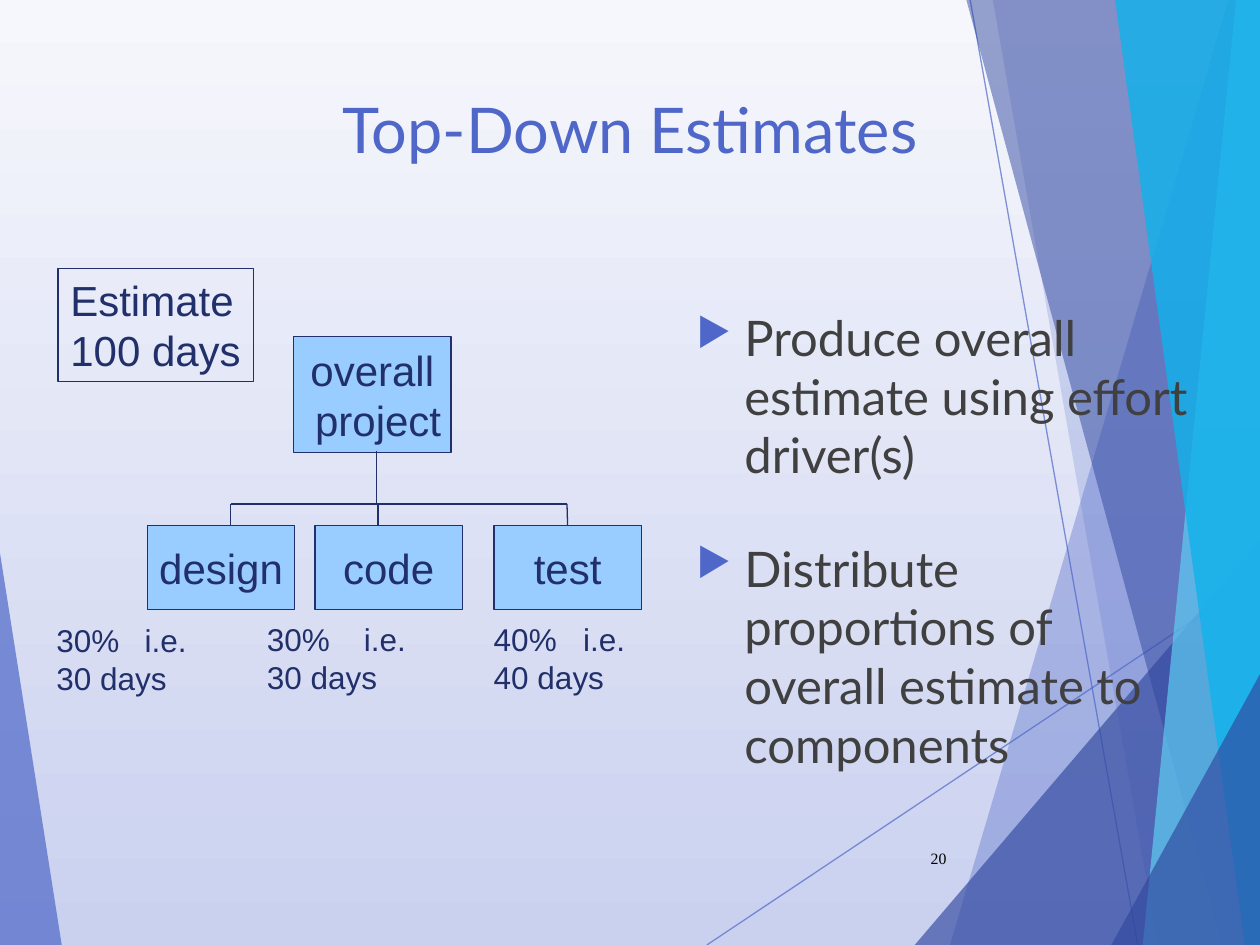
from lxml import etree
from pptx import Presentation
from pptx.dml.color import RGBColor
from pptx.enum.shapes import MSO_CONNECTOR, MSO_SHAPE
from pptx.enum.text import MSO_ANCHOR, PP_ALIGN
from pptx.oxml.ns import qn
from pptx.util import Inches, Pt

STRAIGHT = MSO_CONNECTOR.STRAIGHT
RECTANGLE = MSO_SHAPE.RECTANGLE
LEFT, CENTER, RIGHT = PP_ALIGN.LEFT, PP_ALIGN.CENTER, PP_ALIGN.RIGHT
TOP, MIDDLE = MSO_ANCHOR.TOP, MSO_ANCHOR.MIDDLE

THEME = {
    "sky_top": "F6F7FC", "sky_bottom": "CAD1EF",
    "accent": "4E67C8", "deep": "31489F", "cyan": "5ECCF3", "bright": "12B2EB",
    "body": "404040", "ink": "21306A", "node": "99CCFF", "black": "000000",
    "heading_font": "Lato", "diagram_font": "Arial", "number_font": "Times New Roman",
    "title_size": 36, "body_size": 28, "node_size": 24, "label_size": 18, "number_size": 9,
    "line_width": 0.75,
}

LEFT_FACET = ("accent", 70, [(0, 4.39), (0.49, 7.5), (0, 7.5)])
FACET_LINES = [((5.61, 7.5), (10, 4.57)), ((7.7, 0), (9.03, 7.5))]
RIGHT_FACETS = [
    ("accent", 36, [(9.75, 0), (7.54, 7.5), (10, 7.5), (10, 0)]),
    ("accent", 20, [(7.88, 0), (9.19, 7.5), (10, 7.5), (10, 0)]),
    ("deep", 66, [(7.26, 7.5), (10, 4.29), (10, 7.5)]),
    ("deep", 50, [(7.67, 0), (9.7, 7.5), (10, 7.5), (10, 0)]),
    ("cyan", 70, [(9.81, 0), (9.07, 7.5), (10, 7.5), (10, 0)]),
    ("bright", 82, [(8.85, 0), (9.88, 7.5), (10, 7.5), (10, 0)]),
    ("deep", 66, [(8.82, 7.5), (10, 5.35), (10, 7.5)]),
]

TITLE = "Top-Down Estimates"
BULLETS = ["Produce overall estimate using effort driver(s)",
           "Distribute proportions of overall estimate to components"]
PAGE_NUMBER = "20"
ESTIMATE = ["Estimate", "100 days"]
PROJECT = ["overall", " project"]
TASKS = [("design", 1.17, 1.83), ("code", 2.5, 3), ("test", 3.92, 4.5)]
LABELS = [
    (["30%\ti.e.", "30 days"], (0.35, 4.88, 2.07, 0.7), 0.7),
    (["30%\ti.e.", "30 days"], (2.02, 4.87, 1.65, 0.7), 0.77),
    (["40%\ti.e.", "40 days"], (3.82, 4.87, 1.31, 0.7), 0.71),
]
TASK_TOP, TASK_WIDTH, TASK_HEIGHT = 4.17, 1.17, 0.67
STEM_X, STEM_TOP, BUS_Y = 2.99, 3.58, 4


def color(name):
    return RGBColor.from_string(THEME[name])


def set_alpha(fill_parent, percent):
    for element in fill_parent.iter(qn("a:srgbClr")):
        etree.SubElement(element, qn("a:alpha")).set("val", str(percent * 1000))


def add_facet(page, name, alpha, points):
    builder = page.shapes.build_freeform(*map(Inches, points[0]))
    builder.add_line_segments([tuple(map(Inches, point)) for point in points[1:]])
    facet = builder.convert_to_shape()
    facet.shadow.inherit = False
    facet.line.fill.background()
    facet.fill.solid()
    facet.fill.fore_color.rgb = color(name)
    set_alpha(facet.fill._xPr, alpha)


def add_line(page, start, end, name="ink", alpha=None):
    line = page.shapes.add_connector(STRAIGHT, *map(Inches, (*start, *end)))
    line.line.color.rgb = color(name)
    line.line.width = Pt(THEME["line_width"])
    properties = line._element.spPr
    if alpha:
        set_alpha(properties, alpha)
    etree.SubElement(properties, qn("a:effectLst"))
    return line


def add_bullet(para):
    properties = para._p.get_or_add_pPr()
    properties.set("marL", str(Inches(0.38)))
    properties.set("indent", str(-Inches(0.38)))
    bullet_color = etree.SubElement(properties, qn("a:buClr"))
    etree.SubElement(bullet_color, qn("a:srgbClr")).set("val", THEME["accent"])
    etree.SubElement(properties, qn("a:buSzPct")).set("val", "80000")
    etree.SubElement(properties, qn("a:buChar")).set("char", "▶")


def add_tab(para, position):
    tabs = etree.SubElement(para._p.get_or_add_pPr(), qn("a:tabLst"))
    tab = etree.SubElement(tabs, qn("a:tab"))
    tab.set("pos", str(Inches(position)))
    tab.set("algn", "l")


def write(box, lines, font="diagram_font", size="node_size", ink="ink", align=LEFT,
          anchor=TOP, wrap=True, bullets=False, tab=None, gap=0):
    frame = box.text_frame
    frame.word_wrap = wrap
    frame.vertical_anchor = anchor
    for index, line in enumerate(lines):
        para = frame.paragraphs[0] if index == 0 else frame.add_paragraph()
        if bullets:
            add_bullet(para)
        if tab and "\t" in line:
            add_tab(para, tab)
        para.alignment = align
        if index and gap:
            para.space_before = Pt(gap)
        span = para.add_run()
        span.text = line
        span.font.name = THEME[font]
        span.font.size = Pt(THEME[size])
        span.font.color.rgb = color(ink)


def add_text(page, place, lines, **style):
    write(page.shapes.add_textbox(*map(Inches, place)), lines, **style)


def add_box(page, place, lines, fill=None, **style):
    box = page.shapes.add_shape(RECTANGLE, *map(Inches, place))
    box.shadow.inherit = False
    if fill:
        box.fill.solid()
        box.fill.fore_color.rgb = color(fill)
    else:
        box.fill.background()
    box.line.color.rgb = color("ink")
    box.line.width = Pt(THEME["line_width"])
    write(box, lines, wrap=False, **style)
    return box


def add_backdrop(page):
    fill = page.background.fill
    fill.gradient()
    fill.gradient_angle = 270
    for stop, name in zip(fill.gradient_stops, ("sky_top", "sky_bottom")):
        stop.color.rgb = color(name)
    add_facet(page, *LEFT_FACET)
    for start, end in FACET_LINES:
        add_line(page, start, end, "accent", 70)
    for facet in RIGHT_FACETS:
        add_facet(page, *facet)


def add_diagram(page):
    node = {"fill": "node", "align": CENTER, "anchor": MIDDLE}
    boxes = [add_box(page, (left, TASK_TOP, TASK_WIDTH, TASK_HEIGHT), [name], **node)
             for name, left, _ in TASKS]
    add_box(page, (2.33, 2.67, 1.25, 0.92), PROJECT, **node)
    add_line(page, (STEM_X, STEM_TOP), (STEM_X, BUS_Y))
    add_line(page, (TASKS[0][2], BUS_Y), (TASKS[-1][2], BUS_Y))
    branches = [add_line(page, (x, BUS_Y), (x, TASK_TOP)) for _, _, x in TASKS]
    branches[-1].end_connect(boxes[-1], 0)
    add_box(page, (0.46, 2.13, 1.55, 0.9), ESTIMATE)
    for lines, place, tab in LABELS:
        add_text(page, place, lines, size="label_size", tab=tab)


def main():
    deck = Presentation()
    deck.slide_width, deck.slide_height = Inches(10), Inches(7.5)
    page = deck.slides.add_slide(deck.slide_layouts[6])
    add_backdrop(page)
    add_text(page, (0.75, 0.67, 8.5, 1.25), [TITLE], font="heading_font",
             size="title_size", ink="accent", align=CENTER)
    add_text(page, (5.43, 2.39, 4.17, 4.5), BULLETS, font="heading_font",
             size="body_size", ink="body", bullets=True, gap=31)
    add_text(page, (7.05, 6.61, 0.56, 0.4), [PAGE_NUMBER], font="number_font",
             size="number_size", ink="black", align=RIGHT, anchor=MIDDLE)
    add_diagram(page)
    deck.save("out.pptx")


if __name__ == "__main__":
    main()
